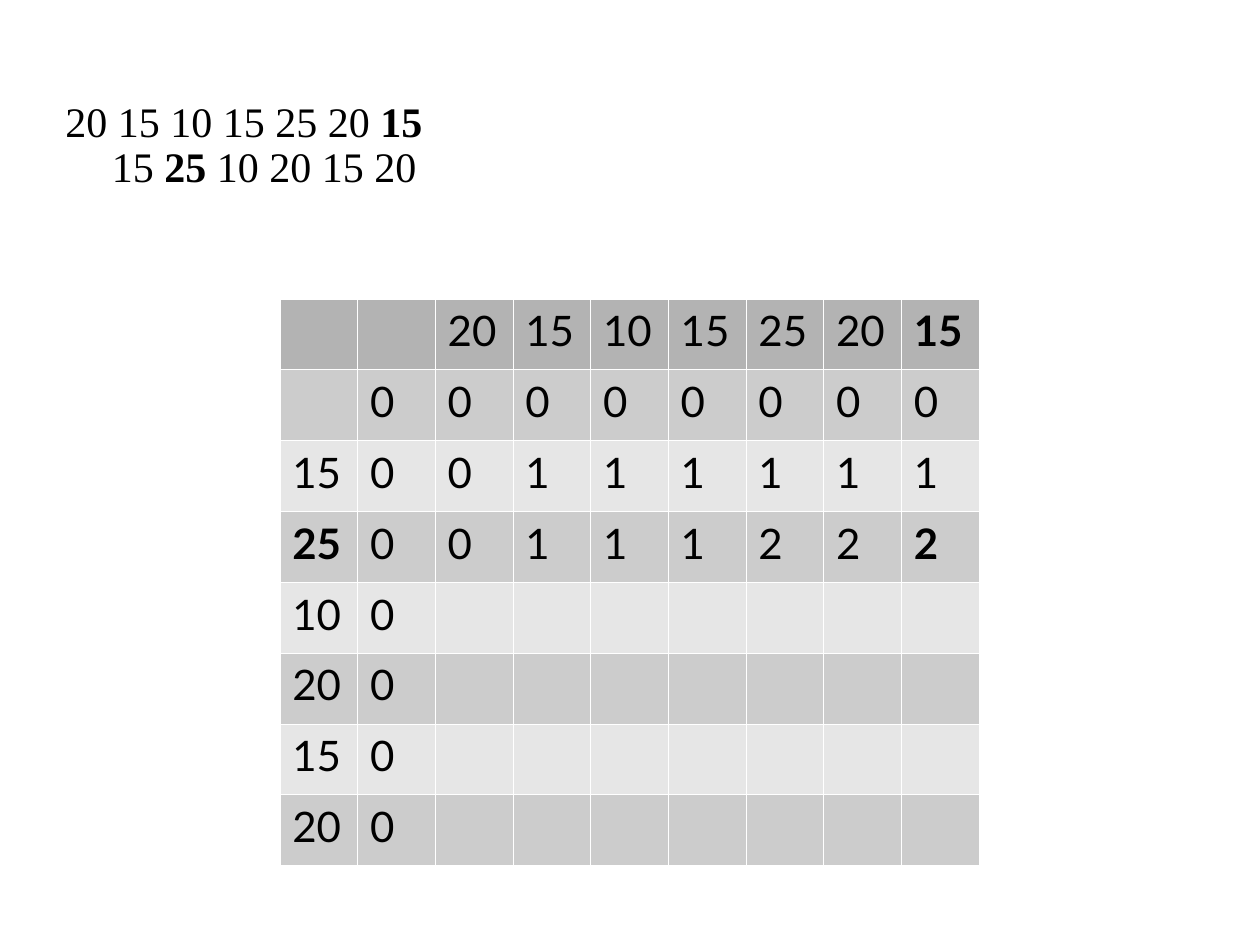
import lxml.etree
import pptx
import pptx.dml.color
import pptx.oxml.ns
import pptx.util

Inches = pptx.util.Inches
Pt = pptx.util.Pt

COLORS = {
    "text": "000000",
    "border": "FFFFFF",
    "header": "B3B3B3",
    "dark_band": "CCCCCC",
    "light_band": "E6E6E6",
}
BORDER_WIDTH = Pt(0.06)
TOP_SEQUENCE = ["20", "15", "10", "15", "25", "20", "15"]
LEFT_SEQUENCE = ["15", "25", "10", "20", "15", "20"]
FILLED_LENGTHS = ["0000000", "0111111", "0111222"]
BOLD_CELLS = {(0, 8), (3, 0), (3, 8)}


def rgb(name):
    """Return the named colour as an RGBColor."""
    return pptx.dml.color.RGBColor.from_string(COLORS[name])


def format_font(font, typeface, bold):
    """Apply the slide's text size and colour with a typeface and weight."""
    font.name = typeface
    font.size = Pt(24)
    font.bold = bold
    font.color.rgb = rgb("text")


def add_sequences(slide, left, top, width, height):
    """Write both sequences, with the compared elements in bold."""
    shape = slide.shapes.add_textbox(left, top, width, height)
    text_frame = shape.text_frame
    text_frame.word_wrap = True
    paragraph = text_frame.paragraphs[0]
    paragraph.line_spacing = 0.9
    properties = paragraph._p.get_or_add_pPr()
    properties.set("marL", str(Inches(0.37)))
    properties.set("indent", str(Inches(-0.37)))
    first_line = [(" ".join(TOP_SEQUENCE[:-1]) + " ", False), (TOP_SEQUENCE[-1], True)]
    second_line = [
        (LEFT_SEQUENCE[0] + " ", False),
        (LEFT_SEQUENCE[1], True),
        (" " + " ".join(LEFT_SEQUENCE[2:]), False),
    ]
    for line_number, line in enumerate((first_line, second_line)):
        if line_number:
            paragraph.add_line_break()
        for text, bold in line:
            run = paragraph.add_run()
            run.text = text
            format_font(run.font, "Times New Roman", bold)


def add_borders(cell):
    """Draw a thin line on all four sides of a cell."""
    properties = cell._tc.get_or_add_tcPr()
    qualify = pptx.oxml.ns.qn
    for side in ("a:lnL", "a:lnR", "a:lnT", "a:lnB"):
        line = lxml.etree.SubElement(properties, qualify(side), w=str(BORDER_WIDTH))
        fill = lxml.etree.SubElement(line, qualify("a:solidFill"))
        lxml.etree.SubElement(fill, qualify("a:srgbClr"), val=COLORS["border"])


def length_rows():
    """Return the table's texts, padded with blanks where lengths are pending."""
    rows = [["", ""] + TOP_SEQUENCE]
    for index, label in enumerate([""] + LEFT_SEQUENCE):
        lengths = list(FILLED_LENGTHS[index]) if index < len(FILLED_LENGTHS) else []
        blanks = [""] * (len(TOP_SEQUENCE) - len(lengths))
        rows.append([label, "0"] + lengths + blanks)
    return rows


def row_color(row_number):
    """Return the colour name of a table row."""
    if row_number == 0:
        return "header"
    return "dark_band" if row_number % 2 else "light_band"


def add_length_table(slide, left, top, width, height):
    """Build the subsequence length table on an even grid."""
    rows = length_rows()
    table = slide.shapes.add_table(
        len(rows), len(rows[0]), left, top, width, height
    ).table
    for row_number, texts in enumerate(rows):
        for column_number, text in enumerate(texts):
            cell = table.cell(row_number, column_number)
            add_borders(cell)
            cell.fill.solid()
            cell.fill.fore_color.rgb = rgb(row_color(row_number))
            cell.text_frame.text = text
            paragraph = cell.text_frame.paragraphs[0]
            paragraph.line_spacing = 1.01
            for run in paragraph.runs:
                bold = (row_number, column_number) in BOLD_CELLS
                format_font(run.font, "Lato", bold)


def main():
    """Create the slide and save the presentation."""
    presentation = pptx.Presentation()
    presentation.slide_width = Inches(10)
    presentation.slide_height = Inches(7.5)
    slide = presentation.slides.add_slide(presentation.slide_layouts[6])
    add_sequences(slide, Inches(0.42), Inches(0.75), Inches(8.83), Inches(6.15))
    add_length_table(slide, Inches(2.22), Inches(2.37), Inches(5.55), Inches(4.5))
    presentation.save("out.pptx")


if __name__ == "__main__":
    main()
